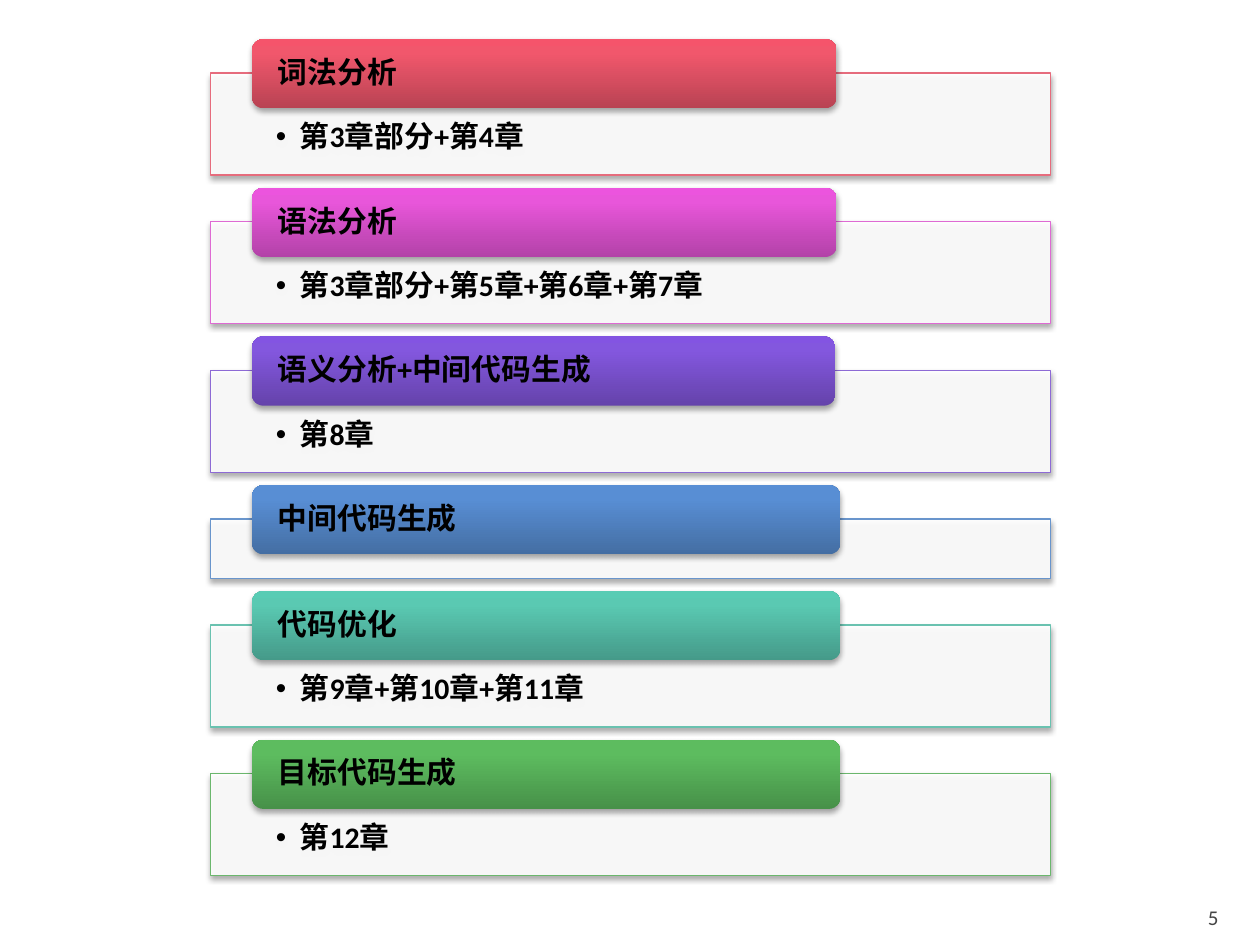
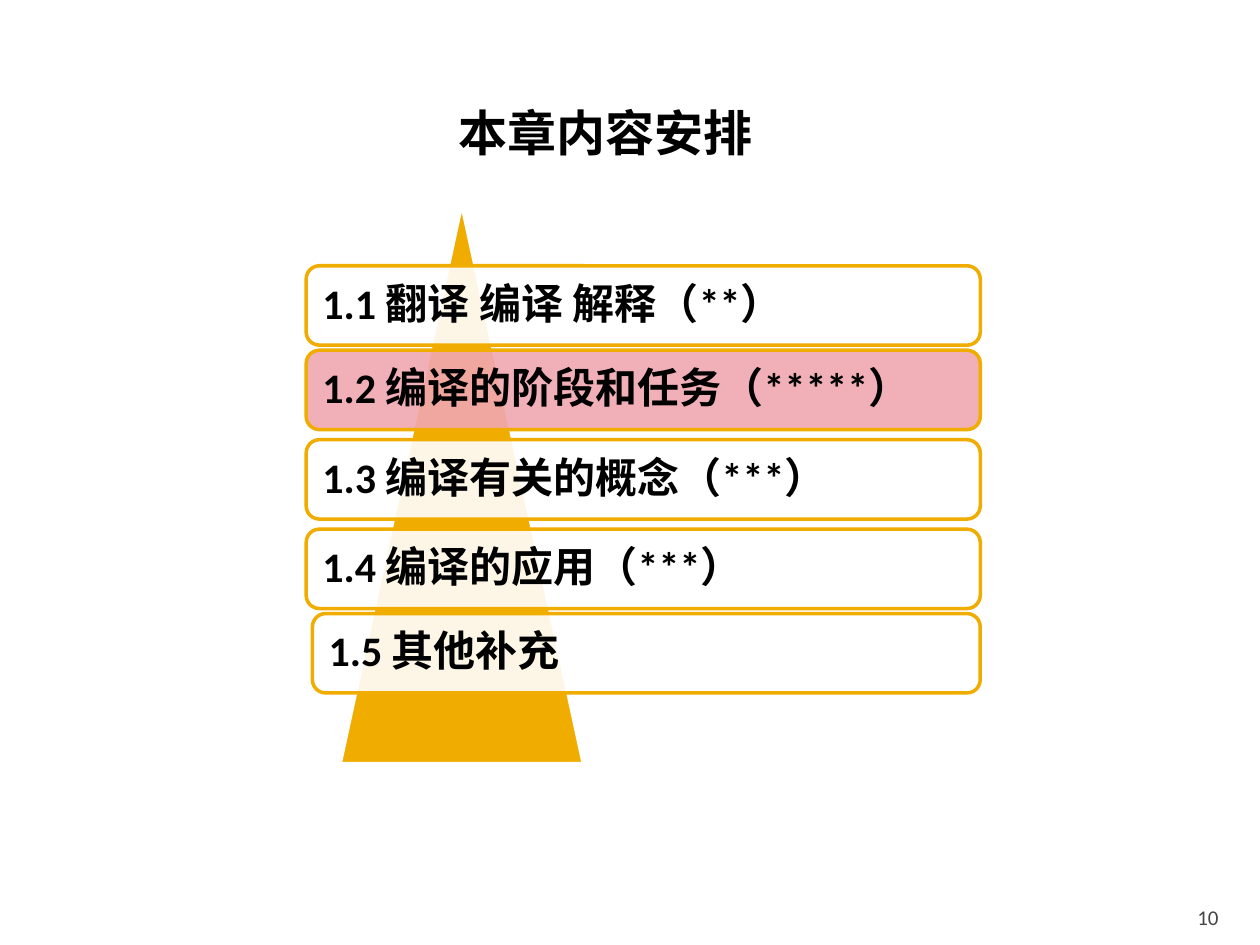
from dataclasses import dataclass

from lxml.etree import SubElement
from pptx import Presentation
from pptx.dml.color import RGBColor
from pptx.enum.shapes import MSO_SHAPE as Shape
from pptx.enum.text import MSO_ANCHOR as Anchor, MSO_AUTO_SIZE as AutoSize, PP_ALIGN as Align
from pptx.oxml.ns import qn
from pptx.util import Inches, Pt


@dataclass(frozen=True)
class Theme:
    """Colours, fonts and type sizes of the slides."""
    black: str = "000000"
    white: str = "FFFFFF"
    grey: str = "454545"
    amber: str = "F0AD00"
    pink: str = "F0A7B1"
    body_font: str = "Calibri"
    title_font: str = "Arial"
    number_size: int = 12
    stage_size: int = 17
    section_size: int = 24
    title_size: int = 28
    fill_opacity: int = 90
    shadow_opacity: int = 35


THEME = Theme()
COLUMNS, ROWS = 10, 7.5
CELL = Inches(1)

PANEL_LEFT, PANEL_WIDTH = 1.67, 6.67
HEADER_LEFT, HEADER_HEIGHT = 2, 0.55
FIRST_HEADER, HEADER_OVERHANG, STAGE_GAP = 0.31, 0.27, 0.1
FULL_PANEL, EMPTY_PANEL = 0.81, 0.47

STAGES = [
    ("词法分析", "第3章部分+第4章", 4.64, "E66C7D", ("B94353", "F1576C", "F5546B")),
    ("语法分析", "第3章部分+第5章+第6章+第7章", 4.64, "DE6AD3", ("B342A8", "E856DA", "EC54DE")),
    ("语义分析+中间代码生成", "第8章", 4.63, "8D6AD5", ("6543AB", "8357DE", "8354E2")),
    ("中间代码生成", "", 4.67, "6995CC", ("446EA3", "588ED4", "568FD7")),
    ("代码优化", "第9章+第10章+第11章", 4.67, "6AC2B0", ("459A89", "5AC9B2", "58CCB4")),
    ("目标代码生成", "第12章", 4.67, "6BB76D", ("479149", "5DBC5F", "5BBF5E")),
]

SECTION_RIGHT, SECTION_HEIGHT = 7.78, 0.63
SECTIONS = [
    ("1.1 翻译 编译 解释（**）", 2.43, 2.11, THEME.white),
    ("1.2 编译的阶段和任务（*****）", 2.43, 2.78, THEME.pink),
    ("1.3 编译有关的概念（***）", 2.43, 3.49, THEME.white),
    ("1.4 编译的应用（***）", 2.43, 4.2, THEME.white),
    ("1.5 其他补充", 2.48, 4.87, THEME.white),
]


def grid(*cells):
    """Turn column and row counts into lengths."""
    return [int(cell * CELL) for cell in cells]


def add_color(parent, color, opacity=100):
    """Append a colour element with an opacity in percent."""
    element = SubElement(parent, qn("a:srgbClr"), val=color)
    SubElement(element, qn("a:alpha"), val=str(opacity * 1000))


def add_bullet(paragraph, indent):
    """Give a paragraph a round bullet with a hanging indent."""
    properties = paragraph._p.get_or_add_pPr()
    properties.set("marL", str(Inches(indent)))
    properties.set("indent", str(-Inches(indent)))
    SubElement(properties, qn("a:buFont"), typeface="Arial")
    SubElement(properties, qn("a:buChar"), char="•")


def write(shape, text, size, *, font=THEME.body_font, color=THEME.black, bold=True,
          align=Align.LEFT, anchor=Anchor.MIDDLE, insets=(0.1, 0.05, 0.1, 0.05),
          line_spacing=None, bullet_indent=None):
    """Put one formatted paragraph into a shape."""
    frame = shape.text_frame
    frame.word_wrap = True
    frame.auto_size = AutoSize.NONE
    frame.vertical_anchor = anchor
    (frame.margin_left, frame.margin_top,
     frame.margin_right, frame.margin_bottom) = map(Inches, insets)
    paragraph = frame.paragraphs[0]
    paragraph.alignment = align
    if line_spacing:
        paragraph.line_spacing = line_spacing
    if bullet_indent:
        add_bullet(paragraph, bullet_indent)
    run = paragraph.add_run()
    run.text = text
    run.font.name = font
    run.font.size = Pt(size)
    run.font.bold = bold
    run.font.color.rgb = RGBColor.from_string(color)


def add_block(slide, kind, box, *, fill=None, opacity=100, gradient=None,
              line=None, line_width=2, shadow=False):
    """Draw a preset shape with a plain or graded fill."""
    shape = slide.shapes.add_shape(kind, *grid(*box))
    properties = shape._element.spPr
    if gradient:
        shape.fill.gradient()
        shape.fill.gradient_angle = 90
        stops = properties.find(qn("a:gradFill")).find(qn("a:gsLst"))
        for stop in list(stops):
            stops.remove(stop)
        for position, color in zip((0, 80, 100), gradient):
            add_color(SubElement(stops, qn("a:gs"), pos=str(position * 1000)), color)
    else:
        shape.fill.solid()
        shape.fill.fore_color.rgb = RGBColor.from_string(fill)
        color = properties.find(qn("a:solidFill")).find(qn("a:srgbClr"))
        SubElement(color, qn("a:alpha"), val=str(opacity * 1000))
    if line:
        shape.line.color.rgb = RGBColor.from_string(line)
        shape.line.width = Pt(line_width)
    else:
        shape.line.fill.background()
    shape.shadow.inherit = False
    if shadow:
        outer = SubElement(properties.find(qn("a:effectLst")), qn("a:outerShdw"),
                           blurRad=str(Pt(3.1)), dist=str(Pt(1.8)), dir="5400000",
                           rotWithShape="0")
        add_color(outer, THEME.black, THEME.shadow_opacity)
    return shape


def add_page_number(slide, number):
    """Write the page number in the bottom right corner."""
    box = slide.shapes.add_textbox(*grid(COLUMNS - 1.03, ROWS - 0.42, 0.8, 0.3))
    write(box, str(number), THEME.number_size, color=THEME.grey, bold=False,
          align=Align.RIGHT, anchor=Anchor.BOTTOM, insets=(0.1, 0.05, 0.1, 0))


def add_stage(slide, top, name, chapters, header_width, outline, gradient):
    """Draw a compiler stage and return the top of the next one."""
    panel_top = top + HEADER_OVERHANG
    panel_height = FULL_PANEL if chapters else EMPTY_PANEL
    panel = add_block(slide, Shape.RECTANGLE,
                      (PANEL_LEFT, panel_top, PANEL_WIDTH, panel_height),
                      fill=THEME.white, opacity=THEME.fill_opacity,
                      line=outline, line_width=0.75, shadow=True)
    if chapters:
        write(panel, chapters, THEME.stage_size, anchor=Anchor.TOP, line_spacing=0.9,
              insets=(0.52, 0.39, 0.52, 0.13), bullet_indent=0.19)
    header = add_block(slide, Shape.ROUNDED_RECTANGLE,
                       (HEADER_LEFT, top, header_width, HEADER_HEIGHT),
                       gradient=gradient, shadow=True)
    write(header, name, THEME.stage_size, line_spacing=0.9, insets=(0.18, 0, 0.18, 0))
    return panel_top + panel_height + STAGE_GAP


def add_section(slide, text, left, top, fill):
    """Draw one section of the chapter outline."""
    bar = add_block(slide, Shape.ROUNDED_RECTANGLE,
                    (left, top, SECTION_RIGHT - left, SECTION_HEIGHT),
                    fill=fill, opacity=THEME.fill_opacity, line=THEME.amber)
    write(bar, text, THEME.section_size, line_spacing=0.9, insets=(0.1, 0.1, 0.1, 0.1))


def build_stages(presentation):
    """Build the slide that matches compiler stages with chapters."""
    slide = presentation.slides.add_slide(presentation.slide_layouts.get_by_name("Blank"))
    add_page_number(slide, 5)
    top = FIRST_HEADER
    for stage in STAGES:
        top = add_stage(slide, top, *stage)


def build_outline(presentation):
    """Build the slide with the sections of the chapter."""
    slide = presentation.slides.add_slide(presentation.slide_layouts.get_by_name("Title Only"))
    title = slide.shapes.title
    title.left, title.top, title.width, title.height = grid(2.72, 0.76, 4.17, 0.57)
    write(title, "本章内容安排", THEME.title_size, font=THEME.title_font, align=Align.CENTER)
    add_page_number(slide, 10)
    add_block(slide, Shape.ISOSCELES_TRIANGLE, (2.7, 1.62, 1.93, 4.44),
              fill=THEME.amber, line=THEME.white)
    for section in SECTIONS:
        add_section(slide, *section)


def main():
    """Build and save the presentation."""
    presentation = Presentation()
    presentation.slide_width, presentation.slide_height = grid(COLUMNS, ROWS)
    build_stages(presentation)
    build_outline(presentation)
    presentation.save("out.pptx")


if __name__ == "__main__":
    main()
